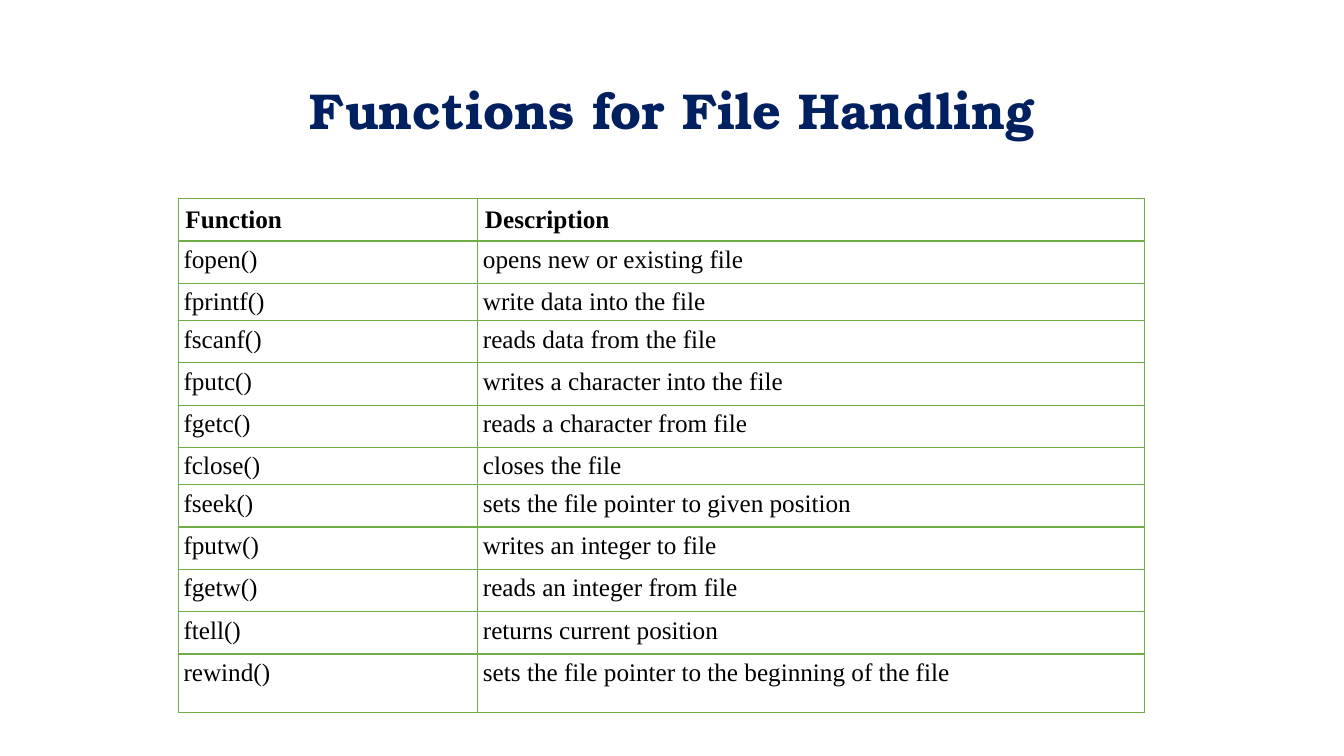
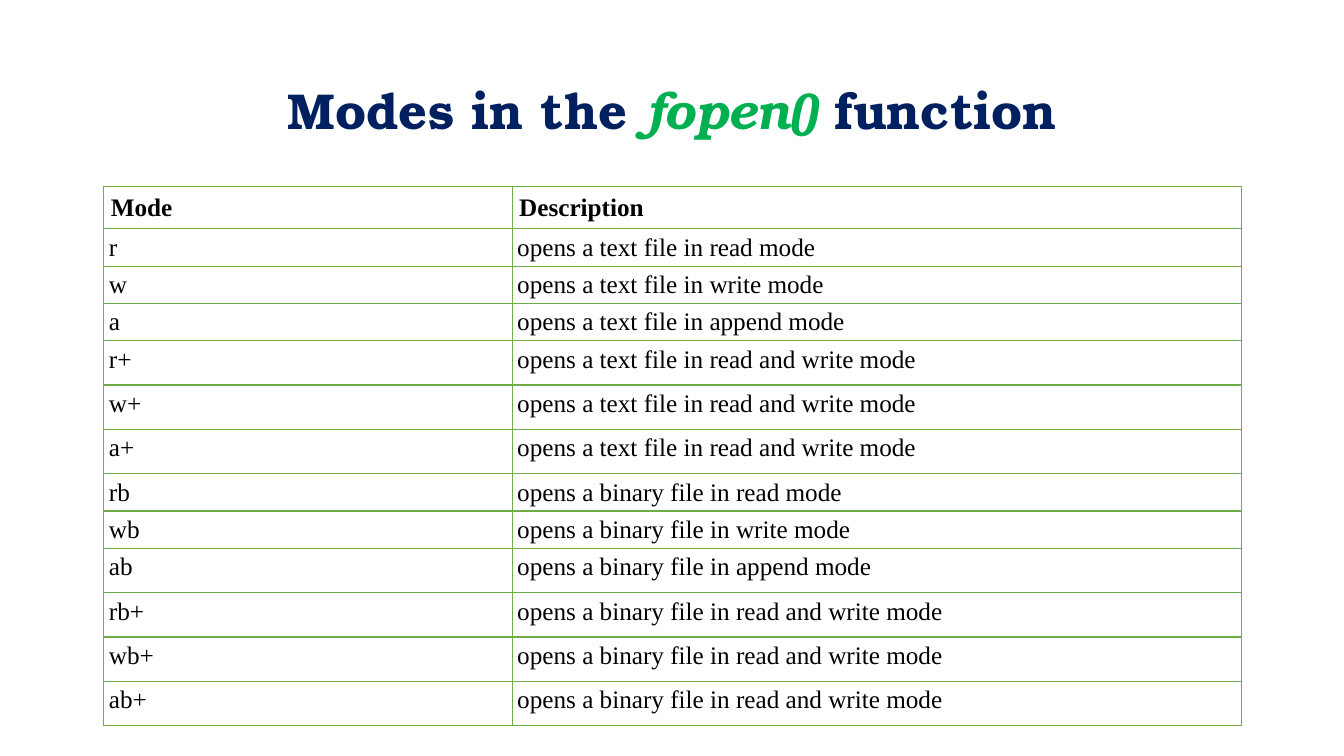
from lxml import etree
from pptx import Presentation
from pptx.dml.color import RGBColor
from pptx.enum.text import MSO_ANCHOR, PP_ALIGN
from pptx.oxml.ns import qn
from pptx.util import Inches, Pt

WIDE, HIGH = 13.33, 7.5
MIDDLE = MSO_ANCHOR.MIDDLE
CENTER, LEFT, JUSTIFY = PP_ALIGN.CENTER, PP_ALIGN.LEFT, PP_ALIGN.JUSTIFY
HUES = {"navy": "002060", "green": "00B050", "rule": "70AD47", "ink": "000000"}
HEAD_FONT, BODY_FONT = "TeX Gyre Bonum", "Times New Roman"
TITLE_BOX = (0.92, 0.4, 11.5, 1.45)

CALLS = [
    ("Function", "Description"),
    ("fopen()", "opens new or existing file"),
    ("fprintf()", "write data into the file"),
    ("fscanf()", "reads data from the file"),
    ("fputc()", "writes a character into the file"),
    ("fgetc()", "reads a character from file"),
    ("fclose()", "closes the file"),
    ("fseek()", "sets the file pointer to given position"),
    ("fputw()", "writes an integer to file"),
    ("fgetw()", "reads an integer from file"),
    ("ftell()", "returns current position"),
    ("rewind()", "sets the file pointer to the beginning of the file"),
]
MODES = [
    ("Mode", "Description"),
    ("r", "opens a text file in read mode"),
    ("w", "opens a text file in write mode"),
    ("a", "opens a text file in append mode"),
    ("r+", "opens a text file in read and write mode"),
    ("w+", "opens a text file in read and write mode"),
    ("a+", "opens a text file in read and write mode"),
    ("rb", "opens a binary file in read mode"),
    ("wb", "opens a binary file in write mode"),
    ("ab", "opens a binary file in append mode"),
    ("rb+", "opens a binary file in read and write mode"),
    ("wb+", "opens a binary file in read and write mode"),
    ("ab+", "opens a binary file in read and write mode"),
]
CALL_ROWS = [0.3, 0.42, 0.26] + [0.42] * 3 + [0.26] + [0.42] * 4 + [0.58]
MODE_ROWS = [0.32] + [0.27] * 3 + [0.44] * 3 + [0.27] * 2 + [0.44] * 4


def add_run(para, text, face, size, hue, bold=False, slant=False):
    """Add one styled run to a paragraph."""
    run = para.add_run()
    run.text = text
    font = run.font
    font.name, font.size, font.bold, font.italic = face, Pt(size), bold, slant
    font.color.rgb = RGBColor.from_string(HUES[hue])


def add_title(slide, box, parts):
    """Place the centred title, built from text and hue pairs."""
    frame = slide.shapes.add_textbox(*map(Inches, box)).text_frame
    frame.word_wrap = True
    frame.vertical_anchor = MIDDLE
    para = frame.paragraphs[0]
    para.alignment, para.line_spacing = CENTER, 0.9
    for text, hue in parts:
        add_run(para, text, HEAD_FONT, 36, hue, True, hue == "green")


def add_rules(cell):
    """Draw a thin line on each side of a cell."""
    props = cell._tc.get_or_add_tcPr()
    for side in ("a:lnL", "a:lnR", "a:lnT", "a:lnB"):
        line = etree.SubElement(props, qn(side), w=str(Pt(1)))
        fill = etree.SubElement(line, qn("a:solidFill"))
        etree.SubElement(fill, qn("a:srgbClr"), val=HUES["rule"])


def fill_cell(cell, text, head):
    """Write one cell as heading or body."""
    inset = Inches(0.07 if head else 0.05)
    cell.margin_left = cell.margin_right = cell.margin_top = inset
    cell.margin_bottom = Inches(0.05 if head else 0.02)
    add_rules(cell)
    cell.fill.background()
    para = cell.text_frame.paragraphs[0]
    para.alignment = LEFT if head else JUSTIFY
    add_run(para, text, BODY_FONT, 18, "ink", head)


def add_grid(slide, box, first, tall, data):
    """Place a two-column table whose first column has the given width."""
    shape = slide.shapes.add_table(len(data), 2, *map(Inches, box))
    table = shape.table
    table.horz_banding = table.first_row = False
    for col, width in zip(table.columns, (first, box[2] - first)):
        col.width = Inches(width)
    for row, height, texts in zip(table.rows, tall, data):
        row.height = Inches(height)
        for cell, text in zip(row.cells, texts):
            fill_cell(cell, text, texts is data[0])


def add_page(deck, title, box, first, tall, data):
    """Add a slide with a title above a table."""
    slide = deck.slides.add_slide(deck.slide_layouts[6])
    add_title(slide, TITLE_BOX, title)
    add_grid(slide, box, first, tall, data)


def main():
    """Build and save the deck."""
    deck = Presentation()
    deck.slide_width, deck.slide_height = Inches(WIDE), Inches(HIGH)
    add_page(deck, [("Functions for File Handling", "navy")],
             (1.77, 1.97, 9.58, 5.17), 2.97, CALL_ROWS, CALLS)
    add_page(deck, [("Modes in the ", "navy"), ("fopen() ", "green"), ("function", "navy")],
             (1.03, 1.85, 11.28, 5.52), 4.05, MODE_ROWS, MODES)
    deck.save("out.pptx")


if __name__ == "__main__":
    main()
